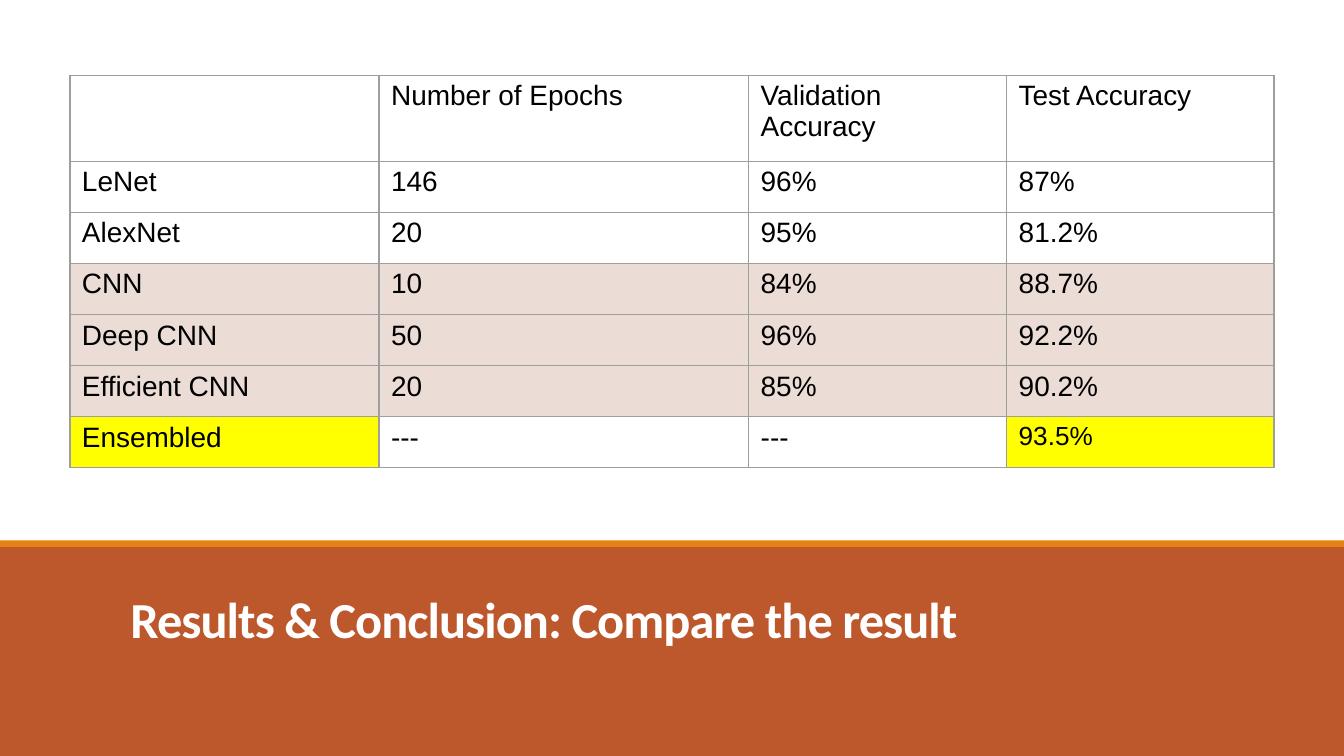
from dataclasses import dataclass

from lxml import etree
from pptx import Presentation
from pptx.dml.color import RGBColor
from pptx.enum.shapes import MSO_SHAPE
from pptx.enum.text import MSO_ANCHOR, MSO_AUTO_SIZE, PP_ALIGN
from pptx.oxml.ns import qn
from pptx.util import Inches, Pt

RECTANGLE = MSO_SHAPE.RECTANGLE
BOTTOM = MSO_ANCHOR.BOTTOM
LEFT = PP_ALIGN.LEFT
NO_AUTOFIT = MSO_AUTO_SIZE.NONE
TITLE_ONLY = 5


@dataclass(frozen=True)
class Theme:
    rust: str = "BD582C"
    orange: str = "E48312"
    white: str = "FFFFFF"
    black: str = "000000"
    tint: str = "EBDCD5"
    highlight: str = "FFFF00"
    border: str = "9E9E9E"
    title_font: str = "Calibri"
    table_font: str = "Arial"
    title_size: float = 27
    table_size: float = 15
    score_size: float = 14
    border_width: float = 0.75


theme = Theme()


def write(frame, text, font, size, color, bold=False):
    """Put one left-aligned run in the frame and return its paragraph."""
    para = frame.paragraphs[0]
    para.alignment = LEFT
    span = para.add_run()
    span.text = text
    span.font.name = font
    span.font.size = Pt(size)
    span.font.bold = bold
    span.font.color.rgb = RGBColor.from_string(color)
    return para


def add_borders(properties):
    """Draw all four edges of a cell, given its a:tcPr element."""
    for index, edge in enumerate(("lnL", "lnR", "lnT", "lnB")):
        line = etree.Element(qn(f"a:{edge}"), w=str(Pt(theme.border_width)))
        fill = etree.SubElement(line, qn("a:solidFill"))
        etree.SubElement(fill, qn("a:srgbClr"), val=theme.border)
        properties.insert(index, line)


# A 16:9 page
deck = Presentation()
deck.slide_width = Inches(10)
deck.slide_height = deck.slide_width * 9 // 16
page = deck.slides.add_slide(deck.slide_layouts[TITLE_ONLY])
title = page.shapes.title

# Footer band and its accent stripe, both behind the title
band_top = Inches(4.06)
bands = (
    (band_top, deck.slide_height - band_top, theme.rust),
    (Inches(4.02), Inches(0.05), theme.orange),
)
for top, height, color in bands:
    band = page.shapes.add_shape(RECTANGLE, 0, top, deck.slide_width, height)
    band.shadow.inherit = False
    band.fill.solid()
    band.fill.fore_color.rgb = RGBColor.from_string(color)
    band.line.fill.background()
    title.element.addprevious(band.element)

# Title
title.left, title.top = Inches(0.87), Inches(4.2)
title.width, title.height = Inches(8.25), Inches(0.68)
frame = title.text_frame
frame.word_wrap = True
frame.auto_size = NO_AUTOFIT
frame.vertical_anchor = BOTTOM
para = write(frame, "Results & Conclusion: Compare the result",
             theme.title_font, theme.title_size, theme.white, bold=True)
para.line_spacing = 0.85
para.space_after = Pt(6)
for properties in title.element.iter(qn("a:rPr")):
    properties.set("spc", "-50")

# Results table
rows = (
    ("", "Number of Epochs", "Validation Accuracy", "Test Accuracy"),
    ("LeNet", "146", "96%", "87%"),
    ("AlexNet", "20", "95%", "81.2%"),
    ("CNN", "10", "84%", "88.7%"),
    ("Deep CNN", "50", "96%", "92.2%"),
    ("Efficient CNN", "20", "85%", "90.2%"),
    ("Ensembled", "---", "---", "93.5%"),
)
column_widths = (2.3, 2.75, 1.92, 1.99)
row_heights = (0.64,) + (0.38,) * (len(rows) - 1)
tinted_rows = (3, 4, 5)
best_score = (6, 3)
highlighted = ((6, 0), best_score)

holder = page.shapes.add_table(
    len(rows), len(column_widths), Inches(0.52), Inches(0.56),
    Inches(sum(column_widths)), Inches(sum(row_heights)))
table = holder.table
table.first_row = False
table.horz_banding = False
for column, width in zip(table.columns, column_widths):
    column.width = Inches(width)
for row, height in zip(table.rows, row_heights):
    row.height = Inches(height)

for row_index, texts in enumerate(rows):
    for column_index, text in enumerate(texts):
        place = (row_index, column_index)
        cell = table.cell(*place)
        cell.margin_left = cell.margin_right = Inches(0.09)
        cell.margin_top = cell.margin_bottom = Inches(0.04)
        if place in highlighted:
            cell.fill.solid()
            cell.fill.fore_color.rgb = RGBColor.from_string(theme.highlight)
        elif row_index in tinted_rows:
            cell.fill.solid()
            cell.fill.fore_color.rgb = RGBColor.from_string(theme.tint)
        else:
            cell.fill.background()
        if text:
            size = theme.score_size if place == best_score else theme.table_size
            write(cell.text_frame, text, theme.table_font, size, theme.black)
for properties in holder.element.iter(qn("a:tcPr")):
    add_borders(properties)

deck.save("out.pptx")
